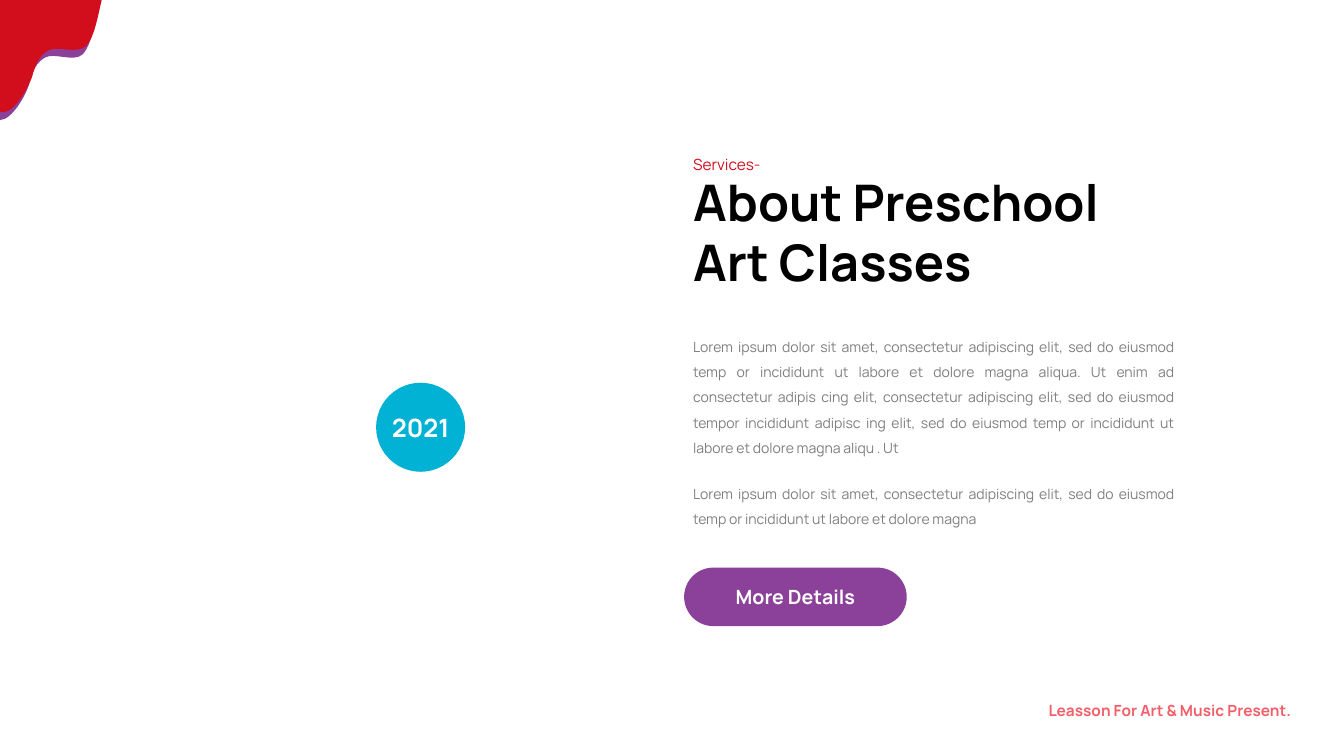
"""Build the preschool art classes slide."""
from dataclasses import dataclass

from lxml.etree import SubElement
from pptx import Presentation
from pptx.dml.color import RGBColor
from pptx.enum.shapes import MSO_SHAPE
from pptx.enum.text import MSO_ANCHOR, MSO_AUTO_SIZE, PP_ALIGN
from pptx.oxml.ns import qn
from pptx.util import Pt


@dataclass(frozen=True)
class Theme:
    font: str = "Manrope"
    red: str = "D20E1C"
    purple: str = "8B409A"
    cyan: str = "01B2D4"
    coral: str = "F45E69"
    black: str = "000000"
    grey: str = "7F7F7F"
    white: str = "FFFFFF"
    title: int = 36
    year: int = 18
    button: int = 14
    label: int = 11
    body: int = 10


theme = Theme()


def write_text(shape, lines, size, colour, bold=False, align=PP_ALIGN.LEFT,
               spacing=1.0, anchor=MSO_ANCHOR.TOP, wrap=True):
    frame = shape.text_frame
    frame_format = {
        "text": "\n".join(lines), "word_wrap": wrap,
        "auto_size": MSO_AUTO_SIZE.NONE, "vertical_anchor": anchor,
        "margin_left": Pt(7.2), "margin_right": Pt(7.2),
        "margin_top": Pt(3.6), "margin_bottom": Pt(3.6),
    }
    for name, value in frame_format.items():
        setattr(frame, name, value)
    paragraph_format = {"alignment": align, "line_spacing": spacing,
                        "space_before": Pt(0), "space_after": Pt(0)}
    font_format = {"name": theme.font, "size": Pt(size), "bold": bold}
    for paragraph in frame.paragraphs:
        for name, value in paragraph_format.items():
            setattr(paragraph, name, value)
        for run in paragraph.runs:
            for name, value in font_format.items():
                setattr(run.font, name, value)
            run.font.color.rgb = RGBColor.from_string(colour)


def paint(shape, colour):
    shape.shadow.inherit = False
    shape.fill.solid()
    shape.fill.fore_color.rgb = RGBColor.from_string(colour)
    shape.line.fill.background()


presentation = Presentation()
presentation.slide_width = Pt(960.48)
presentation.slide_height = Pt(540)
slide = presentation.slides.add_slide(presentation.slide_layouts[5])

drips = [
    (theme.purple, (0, 5.8), (70.6, 5.8), [
        (68.4, 13), (65.5, 32.4), (59, 38.9),
        (52.6, 44.6), (38.9, 37.4), (32.4, 41),
        (25.9, 44.6), (23, 51.1), (20.9, 59.8),
        (18.7, 67.7), (8.6, 85.7), (0, 85.7)]),
    (theme.red, (0, 0), (72.7, 0), [
        (70.6, 7.9), (67.7, 27.4), (61.2, 33.1),
        (54.7, 38.9), (41, 32.4), (34.6, 36),
        (28.1, 39.6), (25.2, 46.1), (23, 54.7),
        (20.2, 62.6), (9.4, 82.8), (0, 79.9)]),
]
for colour, corner, edge, curve_points in drips:
    builder = slide.shapes.build_freeform(Pt(corner[0]), Pt(corner[1]))
    builder.add_line_segments([(Pt(x), Pt(y)) for x, y in [edge, *curve_points]])
    drip = builder.convert_to_shape()
    outline = next(drip.element.iter(qn("a:path")))
    segments = outline.findall(qn("a:lnTo"))[1:1 + len(curve_points)]
    closing = outline.find(qn("a:close"))
    for start in range(0, len(segments), 3):
        curve = SubElement(outline, qn("a:cubicBezTo"))
        for segment in segments[start:start + 3]:
            curve.append(segment[0])
            outline.remove(segment)
    outline.append(closing)
    paint(drip, colour)

column_left, column_width = 488.2, 357.8
title = slide.shapes.title
title_box = {"left": column_left, "top": 118.4, "width": column_width, "height": 93.6}
for name, value in title_box.items():
    setattr(title, name, Pt(value))
write_text(title, ["About Preschool", "Art Classes"], theme.title, theme.black, bold=True)

badges = [
    (MSO_SHAPE.ROUNDED_RECTANGLE, (259.2, 267.8, 174.2, 74.2), theme.white, "", theme.year),
    (MSO_SHAPE.OVAL, (268.8, 273.4, 63.6, 63.6), theme.cyan, "2021", theme.year),
    (MSO_SHAPE.ROUNDED_RECTANGLE, (488.9, 405.4, 159.1, 41.8), theme.purple,
     "More Details", theme.button),
]
for kind, box, colour, text, size in badges:
    badge = slide.shapes.add_shape(kind, *map(Pt, box))
    if kind == MSO_SHAPE.ROUNDED_RECTANGLE:
        badge.adjustments[0] = 0.5
    paint(badge, colour)
    if text:
        write_text(badge, [text], size, theme.white, bold=True,
                   align=PP_ALIGN.CENTER, anchor=MSO_ANCHOR.MIDDLE, wrap=False)

text_boxes = [
    ((column_left, 100.8, 121, 27.4), "Services-",
     theme.label, theme.red, False, PP_ALIGN.JUSTIFY),
    ((660, 490.3, 270, 27.4), "Leasson For Art & Music Present.",
     theme.label, theme.coral, True, PP_ALIGN.RIGHT),
    ((column_left, 232.2, column_width, 97.2),
     "Lorem ipsum dolor sit amet, consectetur adipiscing elit, sed do eiusmod "
     "temp or incididunt ut labore et dolore magna aliqua. Ut enim ad "
     "consectetur adipis cing elit, consectetur adipiscing elit, sed do eiusmod "
     "tempor incididunt adipisc ing elit, sed do eiusmod temp or incididunt ut "
     "labore et dolore magna aliqu . Ut",
     theme.body, theme.grey, False, PP_ALIGN.JUSTIFY),
    ((column_left, 337, column_width, 43.2),
     "Lorem ipsum dolor sit amet, consectetur adipiscing elit, sed do eiusmod "
     "temp or incididunt ut labore et dolore magna",
     theme.body, theme.grey, False, PP_ALIGN.JUSTIFY),
]
for box, text, size, colour, bold, align in text_boxes:
    text_box = slide.shapes.add_textbox(*map(Pt, box))
    write_text(text_box, [text], size, colour, bold, align, spacing=1.5)

presentation.save("out.pptx")
